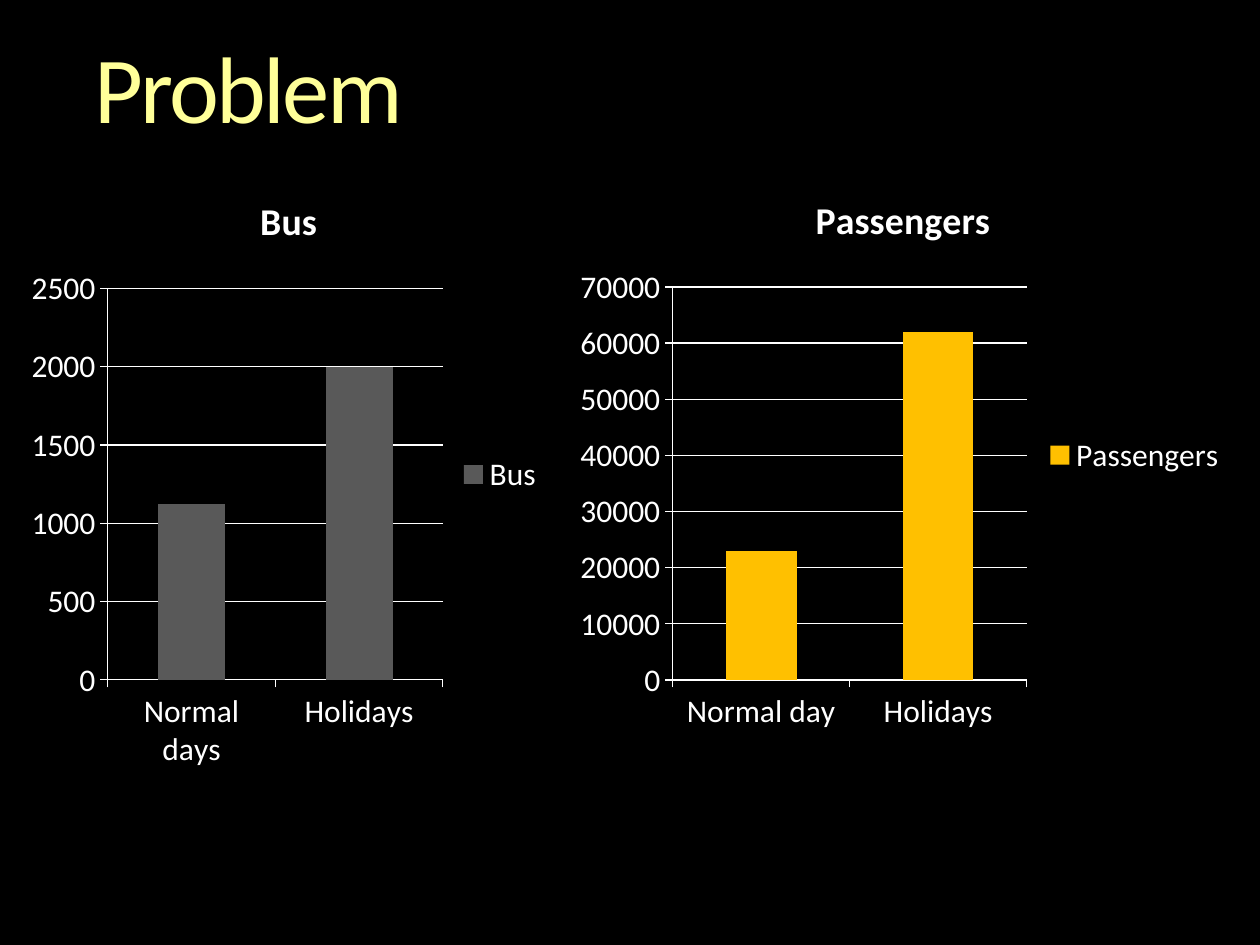
import pptx
import pptx.chart.data
import pptx.dml.color
import pptx.enum.chart
import pptx.enum.text
import pptx.util
from pptx.util import Cm

FONT = "Calibri"
COLORS = {
    "background": "000000",
    "title": "FFFF99",
    "text": "FFFFFF",
    "bus": "595959",
    "passengers": "FFC000",
}


def rgb(name):
    return pptx.dml.color.RGBColor.from_string(COLORS[name])


def style_font(font, size, color, bold=False):
    font.name = FONT
    font.size = pptx.util.Pt(size)
    font.bold = bold
    font.color.rgb = rgb(color)


def style_line(line):
    line.color.rgb = rgb("text")
    line.width = pptx.util.Pt(0.75)


def place_title(slide, text, left, top, width, height):
    title = slide.shapes.title
    title.left, title.top, title.width, title.height = left, top, width, height
    frame = title.text_frame
    frame.text = text
    frame.word_wrap = True
    frame.auto_size = pptx.enum.text.MSO_AUTO_SIZE.NONE
    frame.vertical_anchor = pptx.enum.text.MSO_ANCHOR.TOP
    frame.margin_left = frame.margin_right = 0
    frame.margin_top = frame.margin_bottom = 0
    paragraph = frame.paragraphs[0]
    paragraph.alignment = pptx.enum.text.PP_ALIGN.LEFT
    paragraph.line_spacing = 0.9
    style_font(paragraph.font, 54, "title")
    # Letter spacing is in hundredths of a point
    paragraph.runs[0].font._element.set("spc", "-150")


def place_column_chart(slide, name, values, color, left, top, width, height):
    """Add a one-series column chart; values maps category to number."""
    data = pptx.chart.data.CategoryChartData()
    data.categories = list(values)
    data.add_series(name, list(values.values()))
    chart = slide.shapes.add_chart(
        pptx.enum.chart.XL_CHART_TYPE.COLUMN_CLUSTERED,
        left, top, width, height, data,
    ).chart
    style_font(chart.font, 18, "text")

    chart.has_title = True
    chart.chart_title.text_frame.text = name
    style_font(chart.chart_title.text_frame.paragraphs[0].font, 21.6, "text", bold=True)
    chart.chart_title.include_in_layout = False

    chart.has_legend = True
    chart.legend.position = pptx.enum.chart.XL_LEGEND_POSITION.RIGHT
    chart.legend.include_in_layout = False

    for axis in (chart.category_axis, chart.value_axis):
        axis.major_tick_mark = pptx.enum.chart.XL_TICK_MARK.OUTSIDE
        axis.minor_tick_mark = pptx.enum.chart.XL_TICK_MARK.NONE
        style_line(axis.format.line)
    chart.value_axis.has_major_gridlines = True
    style_line(chart.value_axis.major_gridlines.format.line)

    plot = chart.plots[0]
    plot.gap_width = 150
    plot.vary_by_categories = False
    fill = plot.series[0].format.fill
    fill.solid()
    fill.fore_color.rgb = rgb(color)


def main():
    presentation = pptx.Presentation()
    presentation.slide_width = Cm(25.4)
    presentation.slide_height = Cm(19.05)
    slide = presentation.slides.add_slide(presentation.slide_layouts[5])
    background = slide.background.fill
    background.solid()
    background.fore_color.rgb = rgb("background")

    place_title(slide, "Problem", Cm(1.9), Cm(0.85), Cm(21.6), Cm(4.1))
    place_column_chart(
        slide, "Passengers", {"Normal day": 23000, "Holidays": 62000},
        "passengers", Cm(11.43), Cm(3.39), Cm(13.55), Cm(11.57),
    )
    place_column_chart(
        slide, "Bus", {"Normal days": 1120, "Holidays": 2000},
        "bus", Cm(0.42), Cm(3.39), Cm(10.8), Cm(12.35),
    )
    presentation.save("out.pptx")


if __name__ == "__main__":
    main()
